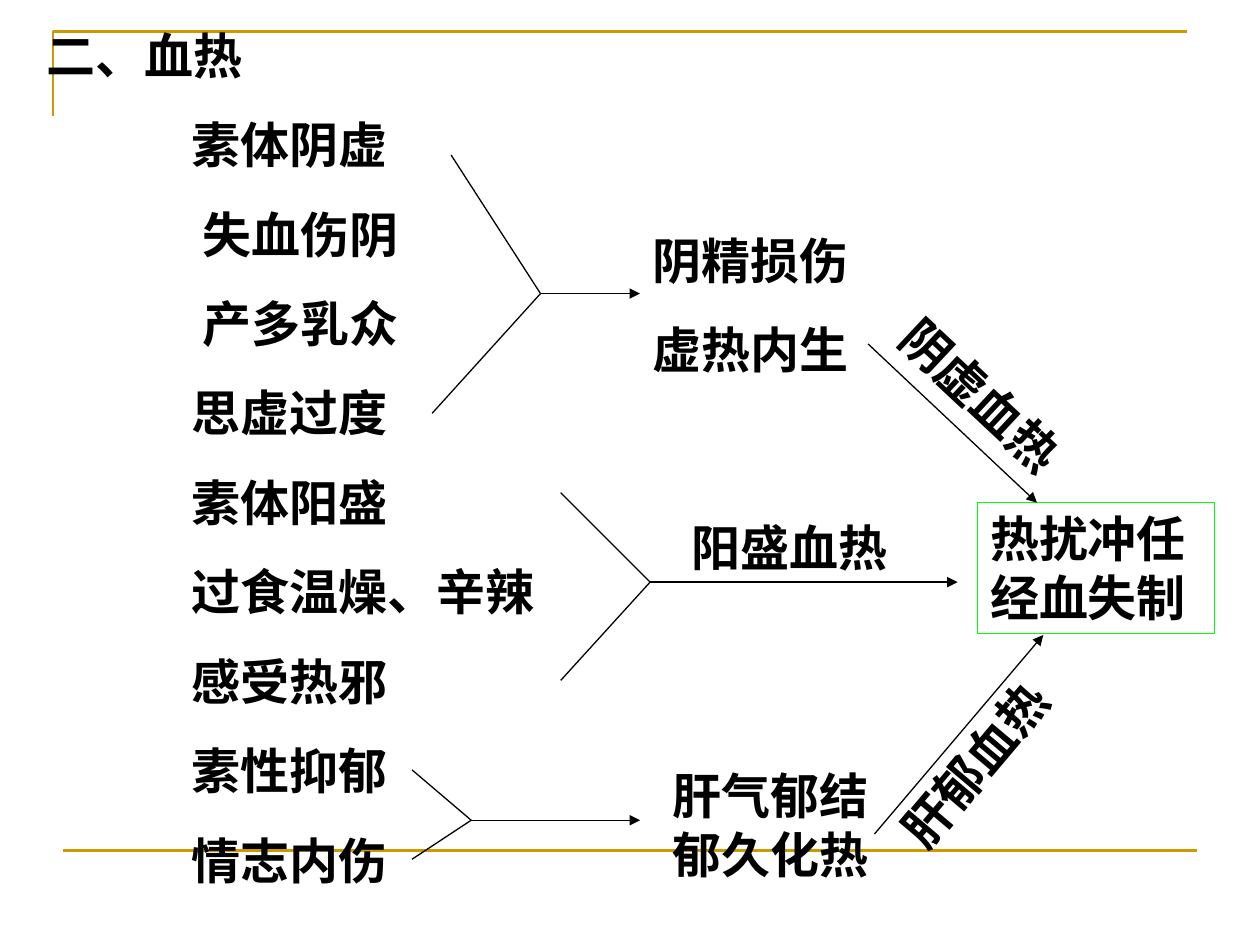
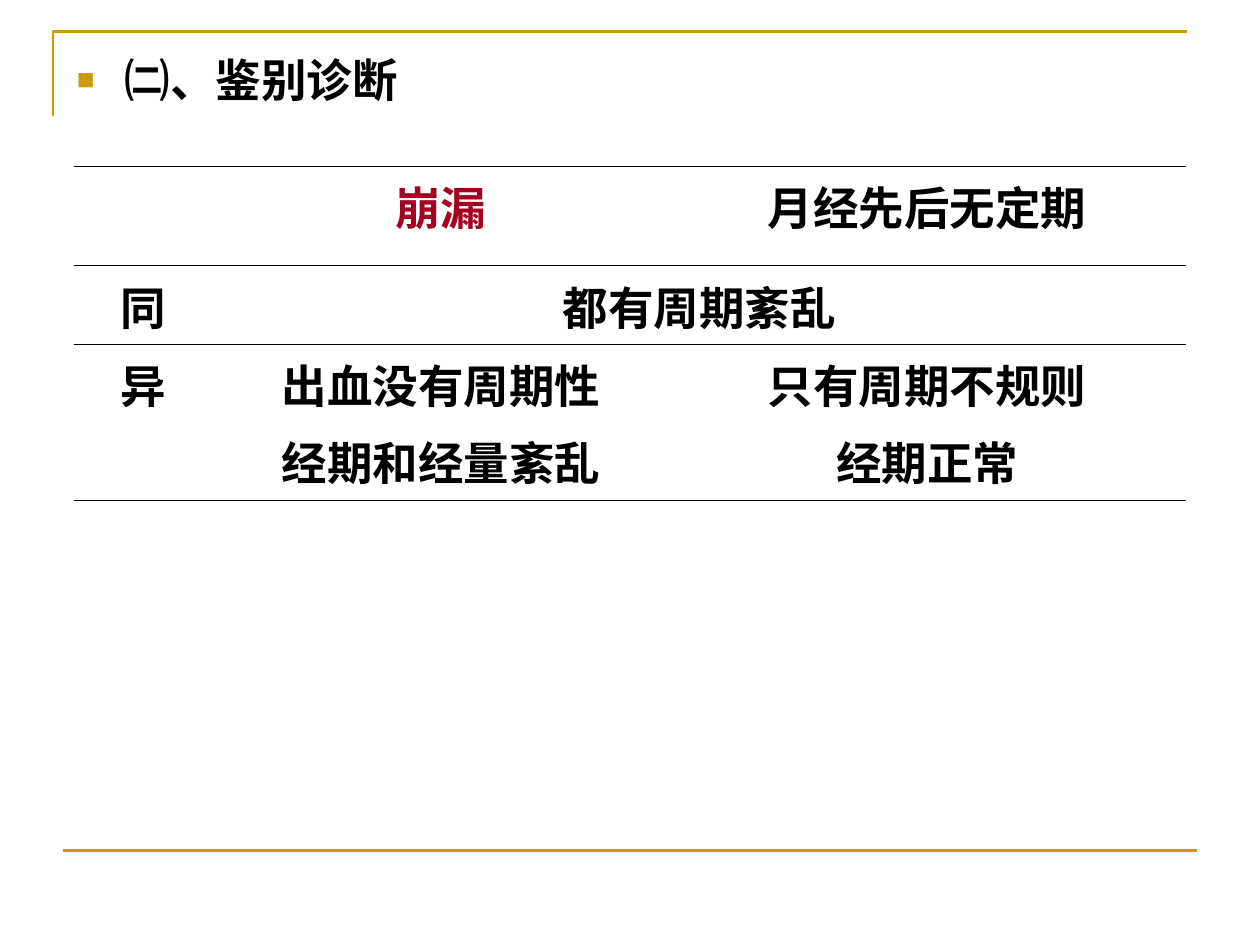
from itertools import product

from lxml.etree import SubElement
from pptx import Presentation
from pptx.dml.color import RGBColor
from pptx.enum.shapes import MSO_CONNECTOR, MSO_SHAPE
from pptx.enum.text import MSO_ANCHOR, MSO_AUTO_SIZE, PP_ALIGN
from pptx.oxml.ns import qn
from pptx.util import Inches, Pt

COLORS = {"gold": "CC9900", "ink": "000000", "green": "00FF00", "crimson": "A50021"}
DIAGRAM = {"name": "Times New Roman", "size": Pt(28), "bold": True}
COMPARISON = {"name": "Arial", "size": Pt(26), "bold": True}
INSETS = {"margin_left": Inches(0.1), "margin_right": Inches(0.1),
          "margin_top": Inches(0.05), "margin_bottom": Inches(0.05)}
FRAME = {**INSETS, "word_wrap": True, "auto_size": MSO_AUTO_SIZE.NONE,
         "vertical_anchor": MSO_ANCHOR.TOP}


def color(name):
    return RGBColor.from_string(COLORS[name])


def apply(target, values):
    for key, value in values.items():
        setattr(target, key, value)


def add_xml(parent, tag, **attributes):
    return SubElement(parent, qn(tag), attributes)


class Deck:
    def __init__(self):
        self.prs = Presentation()
        apply(self.prs, {"slide_width": Inches(10), "slide_height": Inches(7.5)})
        self.slide = None
        self.font = None

    def new_slide(self, font):
        self.slide = self.prs.slides.add_slide(self.prs.slide_layouts[1])
        self.font = font

    def frame_master(self):
        """Draw the gold frame and hand it to the slide master."""
        builder = self.slide.shapes.build_freeform(Inches(0.42), Inches(0.92), scale=1.0)
        corner_points = [(0.42, 0.25), (9.42, 0.25)]
        builder.add_line_segments([(Inches(x), Inches(y)) for x, y in corner_points],
                                  close=False)
        corner = builder.convert_to_shape()
        corner.fill.background()
        corner.shadow.inherit = False
        corner.line.width = Pt(1.5)
        corner.line.color.rgb = color("gold")
        baseline = self.line((0.5, 6.75), (9.5, 6.75), "gold", 1.5)
        tree = self.prs.slide_master.shapes.element
        for number, part in enumerate((corner, baseline)):
            part.element.xpath(".//p:cNvPr")[0].set("id", str(100 + number))
            tree.insert(2 + number, part.element)

    def fill_text(self, frame, lines, before=0, align=PP_ALIGN.LEFT, ink="ink"):
        for index, words in enumerate(lines):
            paragraph = frame.paragraphs[0] if index == 0 else frame.add_paragraph()
            apply(paragraph, {"space_before": Pt(before), "alignment": align})
            run = paragraph.add_run()
            run.text = words
            apply(run.font, self.font)
            run.font.color.rgb = color(ink)
        return frame.paragraphs

    def place(self, holder, box, lines, before=0):
        """Move a placeholder or box and fill it with paragraphs."""
        sides = ("left", "top", "width", "height")
        apply(holder, dict(zip(sides, map(Inches, box))))
        apply(holder.text_frame, FRAME)
        return self.fill_text(holder.text_frame, lines, before)

    def title(self, box, words):
        self.place(self.slide.shapes.title, box, [words])

    def drop_title(self):
        heading = self.slide.shapes.title.element
        heading.getparent().remove(heading)

    def body(self, box, lines, before, indents, bullet=None):
        """Fill the body; indents holds (left, first line) for each paragraph."""
        paragraphs = self.place(self.slide.placeholders[1], box, lines, before)
        for paragraph, (left, first) in zip(paragraphs, indents):
            props = paragraph._p.get_or_add_pPr()
            props.set("marL", str(Inches(left)))
            props.set("indent", str(Inches(first)))
            if bullet:
                add_xml(add_xml(props, "a:buClr"), "a:srgbClr", val=COLORS["gold"])
                add_xml(props, "a:buSzPct", val="65000")
                add_xml(props, "a:buFont", typeface="Arial")
                add_xml(props, "a:buChar", char=bullet)
            else:
                add_xml(props, "a:buNone")

    def label(self, box, lines, before=0, rotation=0):
        textbox = self.slide.shapes.add_textbox(0, 0, 0, 0)
        self.place(textbox, box, lines, before)
        textbox.rotation = rotation

    def outlined_box(self, box, lines, edge):
        outline = self.slide.shapes.add_shape(MSO_SHAPE.RECTANGLE, 0, 0, 0, 0)
        outline.shadow.inherit = False
        outline.fill.background()
        outline.line.color.rgb = color(edge)
        outline.line.width = Pt(0.75)
        self.place(outline, box, lines)

    def line(self, start, end, ink="ink", width=0.75, arrow=False):
        connector = self.slide.shapes.add_connector(
            MSO_CONNECTOR.STRAIGHT, *map(Inches, (*start, *end)))
        connector.line.color.rgb = color(ink)
        connector.line.width = Pt(width)
        if arrow:
            add_xml(connector.line._ln, "a:tailEnd", type="triangle")
        add_xml(connector.element.spPr, "a:effectLst")
        return connector

    def merge_arrow(self, sources, joint, target):
        """Join several source lines into one arrow."""
        for source in sources:
            self.line(source, joint)
        self.line(joint, target, arrow=True)

    def table(self, box, widths, heights, cells, accents):
        grid = self.slide.shapes.add_table(
            len(heights), len(widths), *map(Inches, box)).table
        apply(grid, {"first_row": False, "horz_banding": False})
        for column, width in zip(grid.columns, widths):
            column.width = Inches(width)
        for row, height in zip(grid.rows, heights):
            row.height = Inches(height)
        for place in product(range(len(heights)), range(len(widths))):
            cell = grid.cell(*place)
            apply(cell, INSETS)
            self.rule_cell(cell)
            cell.fill.background()
            if place in cells:
                self.fill_text(cell.text_frame, cells[place], 6.5, PP_ALIGN.CENTER,
                               accents.get(place, "ink"))
        return grid

    def rule_cell(self, cell):
        """Rule a cell above and below only."""
        props = cell._tc.get_or_add_tcPr()
        for side in "LR":
            add_xml(add_xml(props, f"a:ln{side}"), "a:noFill")
        for side in "TB":
            edge = add_xml(props, f"a:ln{side}", w=str(Pt(0.45)))
            add_xml(add_xml(edge, "a:solidFill"), "a:srgbClr", val=COLORS["ink"])


def blood_heat(deck):
    deck.new_slide(DIAGRAM)
    deck.frame_master()
    deck.title((0.27, 0.15, 4.73, 0.57), "二、血热")
    causes = ["素体阴虚", "失血伤阴", "产多乳众", "思虚过度", "素体阳盛",
              "过食温燥、辛辣", "感受热邪", "素性抑郁", "情志内伤"]
    indents = [(1.24 if cause in ("失血伤阴", "产多乳众") else 1.15, 0)
               for cause in causes]
    deck.body((0.27, 0.86, 4.73, 6.25), causes, 17.5, indents)

    deck.label((5.08, 1.78, 1.9, 1.28), ["阴精损伤", "虚热内生"], 17.5)
    deck.label((5.24, 6.03, 1.9, 1.04), ["肝气郁结", "郁久化热"])
    deck.outlined_box((7.76, 3.99, 1.88, 1.04), ["热扰冲任", "经血失制"], "green")

    deck.merge_arrow([(3.58, 1.23), (3.43, 3.28)], (4.29, 2.33), (5.08, 2.33))
    deck.merge_arrow([(4.45, 3.91), (4.45, 5.4)], (5.16, 4.62), (7.6, 4.62))
    deck.merge_arrow([(3.27, 6.11), (3.27, 6.82)], (3.74, 6.51), (5.08, 6.51))
    deck.line((6.89, 2.73), (8.23, 3.99), arrow=True)
    deck.line((6.94, 6.62), (8.28, 5.04), arrow=True)

    deck.label((6.9, 2.87, 1.81, 0.57), ["阴虚血热"], rotation=43.1)
    deck.label((5.39, 4.06, 1.97, 0.57), ["阳盛血热"])
    deck.label((6.82, 5.7, 1.97, 0.57), ["肝郁血热"], rotation=310.2)


def differential_diagnosis(deck):
    deck.new_slide(COMPARISON)
    deck.drop_title()
    deck.body((0.51, 0.36, 4.42, 1.42), ["㈡、鉴别诊断"], 6.5, [(0.38, -0.38)], "■")
    cells = {
        (0, 1): ["崩漏"], (0, 2): ["月经先后无定期"],
        (1, 0): ["同"], (1, 1): ["都有周期紊乱"],
        (2, 0): ["异"], (2, 1): ["出血没有周期性", "经期和经量紊乱"],
        (2, 2): ["只有周期不规则", "经期正常"],
    }
    comparison = deck.table((0.59, 1.32, 8.82, 2.45), (1.1, 3.62, 4.1),
                            (0.79, 0.6, 1.06), cells, {(0, 1): "crimson"})
    comparison.cell(1, 1).merge(comparison.cell(1, 2))


def main():
    deck = Deck()
    blood_heat(deck)
    differential_diagnosis(deck)
    deck.prs.save("out.pptx")


if __name__ == "__main__":
    main()
